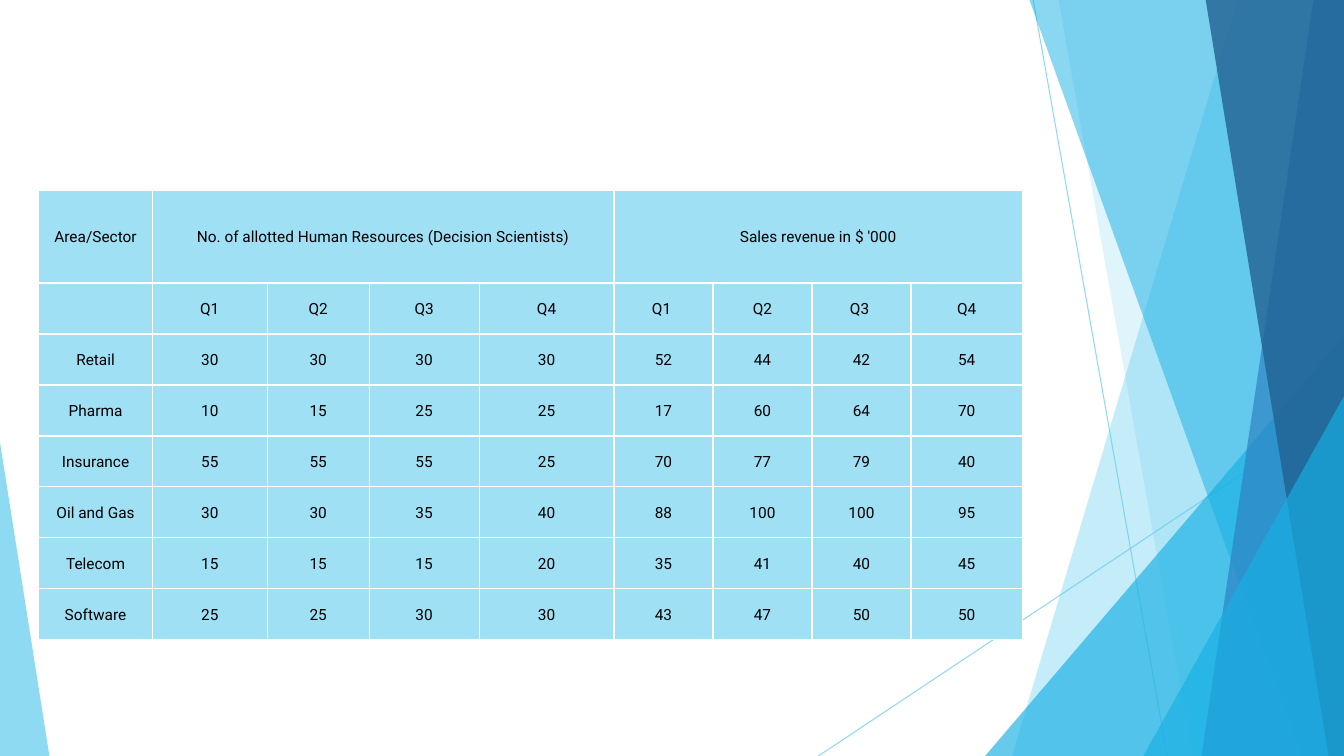
from lxml import etree
from pptx import Presentation
from pptx.dml.color import RGBColor
from pptx.enum.shapes import MSO_CONNECTOR, MSO_SHAPE
from pptx.enum.text import MSO_ANCHOR, PP_ALIGN
from pptx.oxml.ns import qn
from pptx.util import Pt

STRAIGHT = MSO_CONNECTOR.STRAIGHT
TRIANGLE = MSO_SHAPE.ISOSCELES_TRIANGLE
CENTER, MIDDLE = PP_ALIGN.CENTER, MSO_ANCHOR.MIDDLE

SKY = RGBColor(0x5F, 0xCB, 0xEF)
CYAN = RGBColor(0x17, 0xB0, 0xE4)
BLUE = RGBColor(0x2E, 0x83, 0xC3)
NAVY = RGBColor(0x22, 0x62, 0x92)
PALE = RGBColor(0x9F, 0xE0, 0xF5)
WHITE = RGBColor(0xFF, 0xFF, 0xFF)
BLACK = RGBColor(0, 0, 0)

WIDE, HIGH = 960, 540
TOP = -0.7

LINES = [(738, 0, 833.8, HIGH), (WIDE, 290.2, 584.6, HIGH)]

# Each band: upper-left x, lower-left x, colour, opacity in percent
BACK = [(884.2, 722.9, SKY, 36), (756, 851.8, SKY, 20)]
FRONT = [(735.1, 929.5, CYAN, 50), (938.2, 858.2, BLUE, 70),
         (861.1, 949, NAVY, 80)]

COLS = [81.2, 82, 72.9, 78.5, 96.4, 70.7, 70.7, 70.7, 79.7]
HEAD_ROW, BODY_ROW = 66, 36.4
GROUPS = ["Area/Sector",
          "No. of allotted Human Resources (Decision Scientists)", "", "", "",
          "Sales revenue in $ '000", "", "", ""]
TERMS = ["", "Q1", "Q2", "Q3", "Q4", "Q1 ", "Q2", "Q3 ", "Q4"]
DATA = [
    ["Retail", 30, 30, 30, 30, 52, 44, 42, 54],
    ["Pharma", 10, 15, 25, 25, 17, 60, 64, 70],
    ["Insurance", 55, 55, 55, 25, 70, 77, 79, 40],
    ["Oil and Gas", 30, 30, 35, 40, 88, 100, 100, 95],
    ["Telecom", 15, 15, 15, 20, 35, 41, 40, 45],
    ["Software", 25, 25, 30, 30, 43, 47, 50, 50],
]

CELL = {"margin_left": Pt(0.7), "margin_top": Pt(0.7),
        "margin_right": Pt(0.7), "margin_bottom": 0,
        "vertical_anchor": MIDDLE}
FONT = {"name": "Roboto", "size": Pt(11), "bold": False}


def put(item, attrs):
    """Set every attribute in a dict of format values."""
    for name, value in attrs.items():
        setattr(item, name, value)


def fade(part, alpha):
    """Give the solid colour inside an element an opacity in percent."""
    for color in part.iter(qn("a:srgbClr")):
        etree.SubElement(color, qn("a:alpha"), val=str(alpha * 1000))


def paint(shape, color, alpha):
    """Fill a shape with a see-through colour, without line or shadow."""
    shape.shadow.inherit = False
    shape.fill.solid()
    shape.fill.fore_color.rgb = color
    shape.line.fill.background()
    fade(shape.fill._xPr, alpha)


def add_line(slide, ends):
    """Draw a thin see-through line."""
    line = slide.shapes.add_connector(STRAIGHT, *map(Pt, ends))
    line.line.width = Pt(0.75)
    line.line.color.rgb = SKY
    props = line._element.spPr
    fade(props, 70)
    etree.SubElement(props, qn("a:effectLst"))


def add_band(slide, upper, lower, color, alpha):
    """Draw a slanted band that reaches the right edge of the slide."""
    pen = slide.shapes.build_freeform(Pt(upper), Pt(TOP))
    spots = [(WIDE, TOP), (WIDE, HIGH), (lower, HIGH)]
    pen.add_line_segments([(Pt(x), Pt(y)) for x, y in spots])
    paint(pen.convert_to_shape(), color, alpha)


def add_wedge(slide, left, top, width, tip, color, alpha):
    """Draw a right triangle standing on the bottom edge."""
    box = map(Pt, (left, top, width, HIGH - top))
    wedge = slide.shapes.add_shape(TRIANGLE, *box)
    wedge.adjustments[0] = tip
    paint(wedge, color, alpha)


def add_edges(cell):
    """Draw white borders around a cell."""
    props = cell._tc.get_or_add_tcPr()
    for spot, side in enumerate("LRTB"):
        edge = etree.Element(qn("a:ln" + side), w=str(Pt(1)))
        fill = etree.SubElement(edge, qn("a:solidFill"))
        etree.SubElement(fill, qn("a:srgbClr"), val=str(WHITE))
        props.insert(spot, edge)


def fill_cell(cell, value):
    """Write and format one table cell."""
    put(cell, CELL)
    cell.text = str(value)
    cell.fill.solid()
    cell.fill.fore_color.rgb = PALE
    add_edges(cell)
    para = cell.text_frame.paragraphs[0]
    para.alignment = CENTER
    put(para.font, FONT)
    for run in para.runs:
        put(run.font, FONT)
        run.font.color.rgb = BLACK


def add_grid(slide):
    """Build the table of staff and sales by sector."""
    rows = [GROUPS, TERMS] + DATA
    tall = [HEAD_ROW] + [BODY_ROW] * (len(rows) - 1)
    box = map(Pt, (27.7, 136.2, sum(COLS), sum(tall)))
    grid = slide.shapes.add_table(len(rows), len(COLS), *box).table
    put(grid, {"first_row": False, "horz_banding": False})
    for col, width in zip(grid.columns, COLS):
        col.width = Pt(width)
    for row, height, values in zip(grid.rows, tall, rows):
        row.height = Pt(height)
        for cell, value in zip(row.cells, values):
            fill_cell(cell, value)
    for first in (1, 5):
        grid.cell(0, first).merge(grid.cell(0, first + 3))


def main():
    """Build and save the slide."""
    deck = Presentation()
    put(deck, {"slide_width": Pt(WIDE), "slide_height": Pt(HIGH)})
    slide = deck.slides.add_slide(deck.slide_layouts[6])
    for ends in LINES:
        add_line(slide, ends)
    for band in BACK:
        add_band(slide, *band)
    add_wedge(slide, 703.7, 239.8, 256.3, 1, CYAN, 66)
    for band in FRONT:
        add_band(slide, *band)
    add_wedge(slide, 816.7, 283, 143.3, 1, CYAN, 66)
    add_wedge(slide, 0, 316.1, 35.3, 0, SKY, 70)
    add_grid(slide)
    deck.save("out.pptx")


main()
